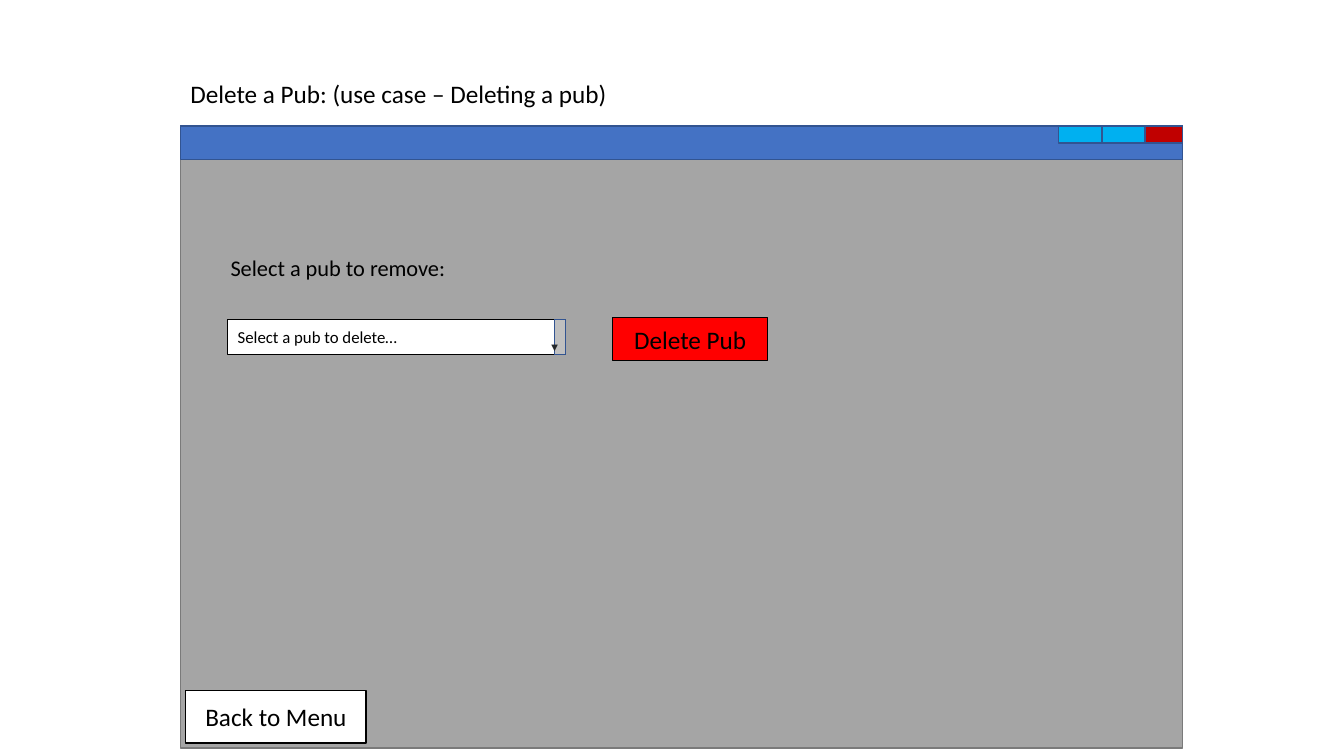
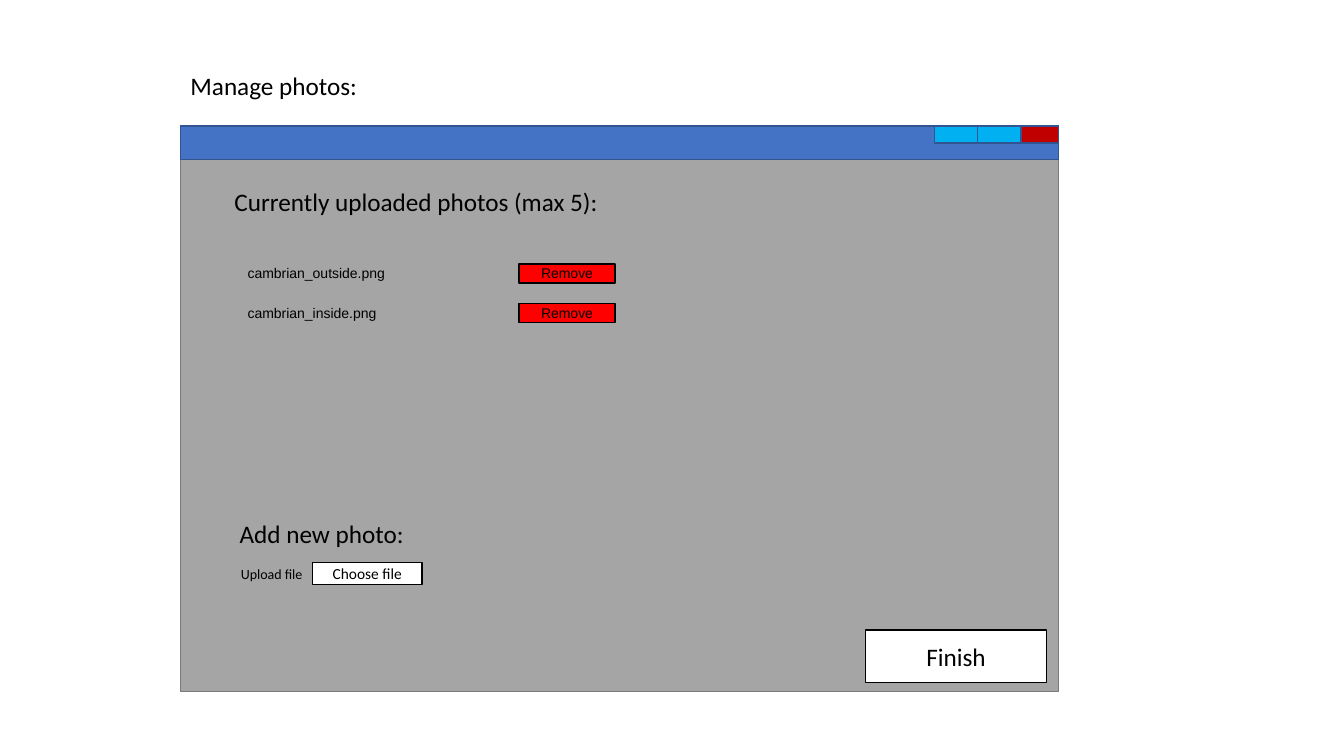
from pptx import Presentation
from pptx.dml.color import RGBColor
from pptx.enum.shapes import MSO_SHAPE
from pptx.enum.text import MSO_ANCHOR, PP_ALIGN
from pptx.util import Cm, Pt

BLACK = "000000"
WHITE = "FFFFFF"
RED = "FF0000"
GREY = "A5A5A5"
GREY_EDGE = "7A7A7A"
SCROLL_GREY = "BFBFBF"
ARROW_GREY = "242729"
BLUE = "4472C4"
BLUE_EDGE = "325491"
SKY = "00B0F0"
DARK_RED = "C00000"


def color(value):
    return RGBColor.from_string(value)


class Mockup:
    font = "Calibri"
    window_left = 4.55
    window_top = 3.18
    bar_height = 0.84
    control_height = 0.43
    controls = ((DARK_RED, 0.94), (SKY, 1.09), (SKY, 1.09))

    def __init__(self, presentation):
        self.presentation = presentation
        self.slide = None

    def new_slide(self):
        self.slide = self.presentation.slides.add_slide(self.presentation.slide_layouts[6])

    def set_text(self, shape, text, size, font, fill, align):
        text_frame = shape.text_frame
        text_frame.word_wrap = True
        text_frame.text = text
        paragraph = text_frame.paragraphs[0]
        paragraph.alignment = align
        for run in paragraph.runs:
            run.font.size = Pt(size)
            run.font.name = font or self.font
            run.font.color.rgb = color(fill)

    def box(self, left, top, width, height, fill, edge=BLUE_EDGE):
        shape = self.slide.shapes.add_shape(
            MSO_SHAPE.RECTANGLE, Cm(left), Cm(top), Cm(width), Cm(height))
        shape.shadow.inherit = False
        shape.fill.solid()
        shape.fill.fore_color.rgb = color(fill)
        shape.line.color.rgb = color(edge)
        shape.line.width = Pt(1)
        return shape

    def button(self, text, left, top, width, height, size=18, fill=WHITE,
               font=None, align=PP_ALIGN.CENTER):
        shape = self.box(left, top, width, height, fill, BLACK)
        shape.text_frame.vertical_anchor = MSO_ANCHOR.MIDDLE
        self.set_text(shape, text, size, font, BLACK, align)

    def label(self, text, left, top, width, height=1.03, size=18, font=None,
              fill=BLACK, align=PP_ALIGN.LEFT):
        shape = self.slide.shapes.add_textbox(Cm(left), Cm(top), Cm(width), Cm(height))
        self.set_text(shape, text, size, font, fill, align)
        return shape

    def window(self, width, height):
        self.box(self.window_left, self.window_top, width, height, GREY, GREY_EDGE)
        self.box(self.window_left, self.window_top, width, self.bar_height, BLUE)
        left = self.window_left + width
        for fill, control_width in self.controls:
            left -= control_width
            self.box(left, self.window_top, control_width, self.control_height, fill)

    def dropdown(self, text, left, top, width, height):
        handle_width = 0.28
        handle_left = left + width - handle_width
        self.button(text, left, top, width, height, size=12, align=PP_ALIGN.LEFT)
        self.box(handle_left, top, handle_width, height, SCROLL_GREY)
        arrow = self.label("▼", handle_left - 0.13, top + 0.41, handle_width, 0.61,
                           size=8, font="Arial", fill=ARROW_GREY, align=PP_ALIGN.CENTER)
        arrow.text_frame.margin_left = arrow.text_frame.margin_right = 0

    def photo_row(self, name, top):
        self.label(name, 5.99, top, 12.34, 0.68, size=10, font="Arial")
        self.button("Remove", 13.08, top + 0.1, 2.42, 0.48, size=10, fill=RED, font="Arial")


def delete_pub(mockup):
    mockup.new_slide()
    mockup.window(25.25, 15.67)
    mockup.button("Back to Menu", 4.68, 17.4, 4.55, 1.32)
    mockup.label("Delete a Pub: (use case – Deleting a pub)", 4.55, 1.85, 16.1)
    mockup.dropdown("Select a pub to delete…", 5.74, 8.05, 8.51, 0.89)
    mockup.label("Select a pub to remove:", 5.56, 6.27, 12.19, 0.94, size=16)
    mockup.button("Delete Pub", 15.44, 8, 3.91, 1.09, fill=RED)


def manage_photos(mockup):
    mockup.new_slide()
    mockup.window(22.12, 14.25)
    mockup.label("Manage photos:", 4.55, 1.65, 7.7)
    mockup.label("Currently uploaded photos (max 5):", 5.66, 4.57, 9.98)
    for index, name in enumerate(("cambrian_outside.png", "cambrian_inside.png")):
        mockup.photo_row(name, 6.55 + index)
    mockup.label("Add new photo:", 5.79, 12.93, 8.89)
    mockup.button("Choose file", 7.87, 14.17, 2.77, 0.56, size=11)
    mockup.label("Upload file", 5.82, 14.12, 2.21, 0.69, size=10)
    mockup.button("Finish", 21.82, 15.88, 4.55, 1.32)


def main():
    presentation = Presentation()
    presentation.slide_width = Cm(33.87)
    presentation.slide_height = Cm(19.05)
    mockup = Mockup(presentation)
    delete_pub(mockup)
    manage_photos(mockup)
    presentation.save("out.pptx")


if __name__ == "__main__":
    main()
